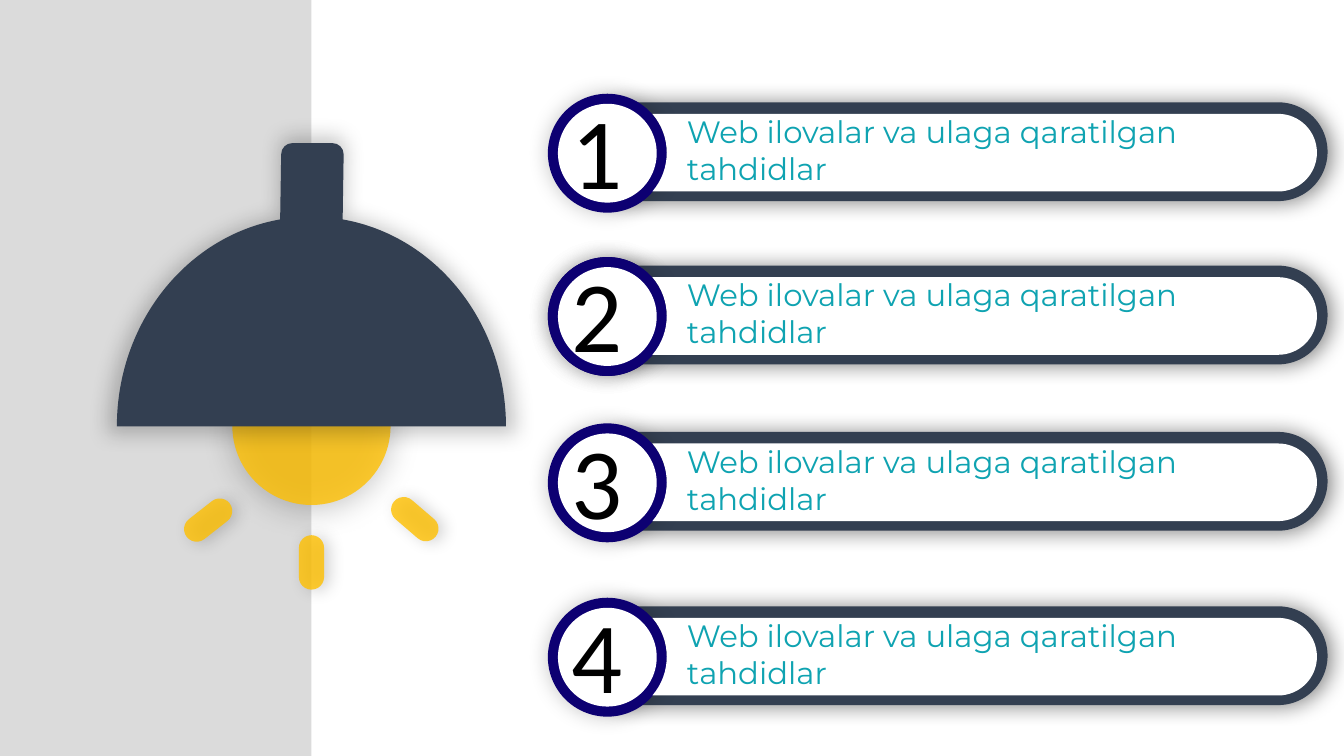
from dataclasses import dataclass
from math import asin, cos, degrees, radians, sin, tan

from lxml import etree
from pptx import Presentation
from pptx.dml.color import RGBColor
from pptx.enum.shapes import MSO_SHAPE
from pptx.enum.text import MSO_AUTO_SIZE
from pptx.oxml.ns import qn
from pptx.util import Inches, Pt

RECT, OVAL, PILL = MSO_SHAPE.RECTANGLE, MSO_SHAPE.OVAL, MSO_SHAPE.ROUNDED_RECTANGLE
GROW = MSO_AUTO_SIZE.SHAPE_TO_FIT_TEXT
CELL = Inches(0.1)  # side of a square grid cell
COLS, ROWS = 133.33, 75
SLATE, NAVY, GOLD, TEAL = "333F51", "0D0072", "FFC000", "0FA3B1"
GREY, WHITE, BLACK = "DBDBDB", "FFFFFF", "000000"
AXIS = 30.9  # column of the lamp's centre line
HUB = 60.25  # column of the badge centres
DIGIT = {"size": Pt(72), "name": "Calibri"}
LABEL = {"size": Pt(22), "name": "Montserrat"}

Point = tuple[float, float]


@dataclass(frozen=True)
class Shade:
    alpha: int
    blur: float
    dist: float = 0
    angle: int = 0
    scale: int = 100


@dataclass(frozen=True)
class Ray:
    col: float
    row: float
    turn: float


@dataclass(frozen=True)
class Item:
    mid: float
    mark: str
    text: str


SOFT, WIDE, DEEP = Shade(22, 15), Shade(22, 15, scale=105), Shade(46, 15, scale=101)
GLOW, SPARK = Shade(28, 23, 3, 90), Shade(21, 12, 4, 10)
RAYS = [Ray(AXIS, 55.8, 0), Ray(41.15, 51.5, 310.6), Ray(20.65, 51.6, 51.9)]
TOPIC = "Web ilovalar va ulaga qaratilgan tahdidlar"
ITEMS = [Item(mid, str(num), TOPIC)
         for num, mid in enumerate((15.15, 31.35, 47.85, 65.15), 1)]


def cells(count: float) -> int:
    return round(count * CELL)


def paint(shape, color: str, shade: Shade | None = None, alpha: int = 100) -> None:
    """Fill a shape without outline; alpha is opacity in percent."""
    shape.fill.solid()
    shape.fill.fore_color.rgb = RGBColor.from_string(color)
    shape.line.fill.background()
    shape.shadow.inherit = False
    props = shape._element.spPr
    if alpha < 100:
        tint = props.find(qn("a:solidFill")).find(qn("a:srgbClr"))
        etree.SubElement(tint, qn("a:alpha"), val=str(alpha * 1000))
    if shade:
        size = str(shade.scale * 1000)
        cast = etree.SubElement(
            props.find(qn("a:effectLst")), qn("a:outerShdw"),
            blurRad=str(Pt(shade.blur)), dist=str(Pt(shade.dist)),
            dir=str(shade.angle * 60000), sx=size, sy=size,
            algn="ctr", rotWithShape="0")
        tone = etree.SubElement(cast, qn("a:srgbClr"), val=BLACK)
        etree.SubElement(tone, qn("a:alpha"), val=str(shade.alpha * 1000))


def block(slide, kind, col: float, row: float, wide: float, high: float,
          color: str, shade: Shade | None = None, alpha: int = 100):
    shape = slide.shapes.add_shape(kind, *map(cells, (col, row, wide, high)))
    if kind == PILL:
        shape.adjustments[0] = 0.5
    paint(shape, color, shade, alpha)
    return shape


def disc(slide, col: float, row: float, size: float, color: str,
         shade: Shade | None = None, alpha: int = 100) -> None:
    """Draw a circle around its centre."""
    block(slide, OVAL, col - size / 2, row - size / 2, size, size, color, shade, alpha)


def arc(col: float, row: float, wide: float, high: float,
        start: float, end: float) -> list[Point]:
    """Bezier start, two handles and end of an elliptic arc, clockwise from east."""
    a, b = radians(start), radians(end)
    pull = 4 / 3 * tan((b - a) / 4)
    units = [(cos(a), sin(a)),
             (cos(a) - pull * sin(a), sin(a) + pull * cos(a)),
             (cos(b) + pull * sin(b), sin(b) - pull * cos(b)),
             (cos(b), sin(b))]
    return [(col + wide * x, row + high * y) for x, y in units]


def outline(slide, arcs: list[list[Point]], color: str,
            shade: Shade | None = None) -> None:
    """Join arcs by straight lines into one closed shape."""
    dots = [(cells(x), cells(y)) for bend in arcs for x, y in bend]
    pen = slide.shapes.build_freeform(*dots[0], scale=1.0)
    pen.add_line_segments(dots[1:], close=False)
    shape = pen.convert_to_shape()
    track = next(shape._element.iter(qn("a:path")))
    legs = track.findall(qn("a:lnTo"))
    for i in range(0, len(legs), 4):
        curve = etree.Element(qn("a:cubicBezTo"))
        legs[i].addprevious(curve)
        for leg in legs[i:i + 3]:
            curve.append(leg[0])
            track.remove(leg)
        if i and dots[i] == dots[i - 1]:
            track.remove(legs[i - 1])
    etree.SubElement(track, qn("a:close"))
    paint(shape, color, shade)


def write(slide, col: float, row: float, wide: float, high: float,
          text: str, style: dict, color: str) -> None:
    box = slide.shapes.add_textbox(*map(cells, (col, row, wide, high)))
    frame = box.text_frame
    frame.word_wrap = True
    frame.auto_size = GROW
    run = frame.paragraphs[0].add_run()
    run.text = text
    for key, value in style.items():
        setattr(run.font, key, value)
    run.font.color.rgb = RGBColor.from_string(color)


def lamp(slide) -> None:
    disc(slide, AXIS, 42.25, 15.7, GOLD, GLOW, 80)
    stem, base, wide, high, half, bend = 31, 42.3, 19.3, 20.8, 3.1, 1.1
    neck = degrees(asin(half / wide))
    inner = half - bend
    shell = [arc(stem - inner, 15.3, bend, bend, 180, 270),
             arc(stem + inner, 15.3, bend, bend, 270, 360),
             arc(AXIS, base, wide, high, neck - 90, 0),
             arc(AXIS, base, wide, high, 180, 270 - neck)]
    outline(slide, shell, SLATE, WIDE)
    for ray in RAYS:
        bar = block(slide, PILL, ray.col - 1.25, ray.row - 2.7, 2.5, 5.4,
                    GOLD, SPARK, 80)
        bar.rotation = ray.turn


def ring(slide, mid: float) -> None:
    disc(slide, HUB, mid + 0.05, 11.8, NAVY, SOFT)


def entry(slide, item: Item) -> None:
    mid = item.mid
    block(slide, PILL, 57.9, mid - 5, 73.8, 9.8, SLATE, DEEP)
    ring(slide, mid)
    disc(slide, HUB, mid + 0.05, 9.8, WHITE)
    write(slide, HUB - 4.5, mid - 6.85, 4.5, 13.1, item.mark, DIGIT, BLACK)
    cap, rim = 3.85, 5.9
    cut = degrees(asin(cap / rim))
    panel = [arc(126.8, mid, cap, cap, -90, 0),
             arc(126.8, mid, cap, cap, 0, 90),
             arc(HUB, mid, rim, rim, cut, -cut)]
    outline(slide, panel, WHITE)
    write(slide, 67.15, mid - 4.45, 56.2, 8.4, item.text, LABEL, TEAL)


def main() -> None:
    deck = Presentation()
    deck.slide_width, deck.slide_height = cells(COLS), cells(ROWS)
    slide = deck.slides.add_slide(deck.slide_layouts[6])
    block(slide, RECT, 0, 0, AXIS, ROWS, GREY)
    lamp(slide)
    ring(slide, ITEMS[1].mid)  # deepens the second badge's shadow
    for item in ITEMS:
        entry(slide, item)
    deck.save("out.pptx")


if __name__ == "__main__":
    main()
